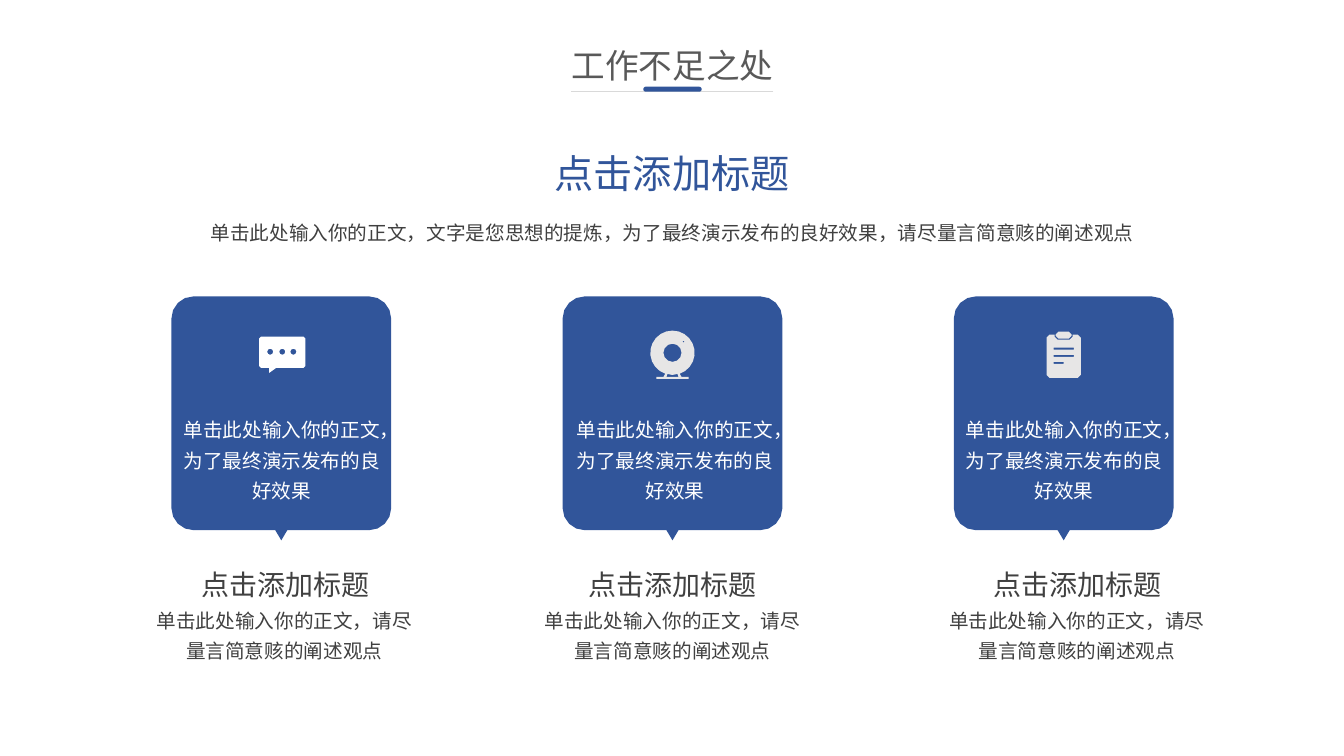
from dataclasses import dataclass
from math import cos, radians, sin

from pptx import Presentation
from pptx.dml.color import RGBColor
from pptx.enum.shapes import MSO_CONNECTOR, MSO_SHAPE
from pptx.enum.text import MSO_ANCHOR as ANCHOR, MSO_AUTO_SIZE as AUTO, PP_ALIGN as ALIGN
from pptx.oxml.ns import qn
from pptx.util import Inches, Pt
from lxml.etree import SubElement

BLUE = RGBColor(0x31, 0x55, 0x9A)
WHITE = RGBColor(0xFF, 0xFF, 0xFF)
PALE = RGBColor(0xE7, 0xE6, 0xE6)
RULE = RGBColor(0xD9, 0xD9, 0xD9)
TITLE = RGBColor(0x59, 0x59, 0x59)
BODY = RGBColor(0x40, 0x40, 0x40)
FONT = "Noto Sans CJK SC"

Points = list[tuple[float, float]]
Box = tuple[float, float, float, float]

HEADING = "点击添加标题"
INTRO = "单击此处输入你的正文，文字是您思想的提炼，为了最终演示发布的良好效果，请尽量言简意赅的阐述观点"
CARD_TEXT = "单击此处输入你的正文，为了最终演示发布的良好效果"
CAPTION = "单击此处输入你的正文，请尽量言简意赅的阐述观点"


@dataclass(frozen=True)
class TextStyle:
    size: float
    color: RGBColor
    spacing: float = 1.0
    anchor: ANCHOR = ANCHOR.TOP
    inset: tuple[float, float] = (0.1, 0.05)
    wrap: bool = True


@dataclass(frozen=True)
class Card:
    text_left: float
    heading_left: float
    caption_left: float
    icon: list[Points]
    icon_color: RGBColor


def arc(cx: float, cy: float, r: float, start: int, end: int, steps: int) -> Points:
    angles = [radians(start + (end - start) * i / steps) for i in range(steps + 1)]
    return [(cx + r * cos(a), cy + r * sin(a)) for a in angles]


def circle(cx: float, cy: float, r: float, steps: int) -> Points:
    return arc(cx, cy, r, 0, 360, steps)[:-1]


def rounded(box: Box, r: float, steps: int = 1,
            top: Points = [], bottom: Points = []) -> Points:
    left, upper, right, lower = box
    return [
        *arc(left + r, upper + r, r, 180, 270, steps), *top,
        *arc(right - r, upper + r, r, 270, 360, steps),
        *arc(right - r, lower - r, r, 0, 90, steps), *bottom,
        *arc(left + r, lower - r, r, 90, 180, steps),
    ]


def bar(left: float, top: float, width: float, height: float) -> Points:
    right, lower = left + width, top + height
    return [(left, top), (right, top), (right, lower), (left, lower)]


def draw_outline(shapes, contours: list[Points], center: float, color: RGBColor) -> None:
    builder = None
    for contour in contours:
        pts = [(Inches(center + x), Inches(y)) for x, y in contour]
        if builder is None:
            builder = shapes.build_freeform(*pts[0], scale=1.0)
        else:
            builder.move_to(*pts[0])
        builder.add_line_segments(pts[1:], close=True)
    fill_shape(builder.convert_to_shape(), color)


def fill_shape(sp, color: RGBColor) -> None:
    sp.shadow.inherit = False
    sp.fill.solid()
    sp.fill.fore_color.rgb = color
    sp.line.fill.background()


def write_text(sp, box: Box, text: str, style: TextStyle) -> None:
    for name, value in zip(("left", "top", "width", "height"), box):
        setattr(sp, name, Inches(value))
    tf = sp.text_frame
    side, end = map(Inches, style.inset)
    frame_format = {
        "word_wrap": style.wrap, "auto_size": AUTO.SHAPE_TO_FIT_TEXT,
        "vertical_anchor": style.anchor, "margin_left": side,
        "margin_right": side, "margin_top": end, "margin_bottom": end,
    }
    for name, value in frame_format.items():
        setattr(tf, name, value)
    p = tf.paragraphs[0]
    p.alignment, p.line_spacing = ALIGN.CENTER, style.spacing
    r = p.add_run()
    r.text = text
    for name, value in {"name": FONT, "size": Pt(style.size)}.items():
        setattr(r.font, name, value)
    r.font.color.rgb = style.color
    SubElement(r.font._element, qn("a:ea"), typeface=FONT)


def add_text(shapes, box: Box, text: str, style: TextStyle) -> None:
    write_text(shapes.add_textbox(*map(Inches, box)), box, text, style)


CARD_OUTLINE = rounded((-1.09, 2.94, 1.09, 5.26), 0.22, 4,
                       bottom=[(0.06, 5.26), (0, 5.36), (-0.06, 5.26)])

CHAT = [
    rounded((-0.22, 3.34, 0.24, 3.65), 0.02,
            bottom=[(-0.05, 3.65), (-0.12, 3.7), (-0.12, 3.65)]),
    *(circle(x, 3.49, 0.03, 8) for x in (-0.11, 0.01, 0.12)),
]
WEBCAM = [
    [*arc(0, 3.5, 0.22, 109, 431, 20), (0.09, 3.74), (0.16, 3.74), (0.16, 3.76),
     (-0.16, 3.76), (-0.16, 3.74), (-0.09, 3.74)],
    [(-0.05, 3.71), (-0.06, 3.74), (0.06, 3.74), (0.05, 3.71), (0, 3.72)],
    circle(0, 3.5, 0.09, 12),
    circle(0.11, 3.39, 0.01, 4),
]
CLIPBOARD = [
    rounded((-0.17, 3.32, 0.17, 3.75), 0.03,
            top=[(-0.09, 3.32), (-0.09, 3.34), (-0.06, 3.37),
                 (0.06, 3.37), (0.09, 3.34), (0.09, 3.32)]),
    *(bar(-0.1, 3.45 + 0.07 * i, width, 0.02) for i, width in enumerate((0.2, 0.2, 0.1))),
    rounded((-0.08, 3.29, 0.08, 3.36), 0.03),
]

CARDS = [
    Card(1.71, 1.59, 1.41, CHAT, WHITE),
    Card(5.61, 5.43, 5.26, WEBCAM, PALE),
    Card(9.47, 9.45, 9.27, CLIPBOARD, PALE),
]
FIRST_CENTER, PITCH = 2.79, 3.88

TITLE_STYLE = TextStyle(24, TITLE, wrap=False)
LEAD_STYLE = TextStyle(28, BLUE)
INTRO_STYLE = TextStyle(14, BODY, 1.5)
CARD_STYLE = TextStyle(14, WHITE, 1.3)
HEADING_STYLE = TextStyle(20, BODY, anchor=ANCHOR.BOTTOM, inset=(0.12, 0.12))
CAPTION_STYLE = TextStyle(14, BODY, 1.3, inset=(0.12, 0.12))


def draw_card(shapes, card: Card, center: float) -> None:
    draw_outline(shapes, [CARD_OUTLINE], center, BLUE)
    draw_outline(shapes, card.icon, center, card.icon_color)
    add_text(shapes, (card.text_left, 4.03, 2.17, 0.99), CARD_TEXT, CARD_STYLE)
    add_text(shapes, (card.heading_left, 5.51, 2.48, 0.57), HEADING, HEADING_STYLE)
    add_text(shapes, (card.caption_left, 5.85, 2.82, 0.83), CAPTION, CAPTION_STYLE)


def draw_title_rule(shapes) -> None:
    line = shapes.add_connector(MSO_CONNECTOR.STRAIGHT, Inches(7.67), Inches(0.91),
                                Inches(5.66), Inches(0.91))
    line.line.color.rgb = RULE
    line.line.width = Pt(0.5)
    SubElement(line._element.spPr, qn("a:effectLst"))
    accent = shapes.add_shape(MSO_SHAPE.ROUNDED_RECTANGLE, Inches(6.38), Inches(0.86),
                              Inches(0.58), Inches(0.05))
    accent.adjustments[0] = 0.5
    fill_shape(accent, BLUE)


def main() -> None:
    prs = Presentation()
    prs.slide_width, prs.slide_height = Inches(13.33), Inches(7.5)
    shapes = prs.slides.add_slide(prs.slide_layouts[5]).shapes
    write_text(shapes.title, (5.56, 0.4, 2.22, 0.5), "工作不足之处", TITLE_STYLE)
    add_text(shapes, (1.6, 2.03, 10.14, 0.42), INTRO, INTRO_STYLE)
    add_text(shapes, (4.06, 1.43, 5.21, 0.57), HEADING, LEAD_STYLE)
    for i, card in enumerate(CARDS):
        draw_card(shapes, card, FIRST_CENTER + PITCH * i)
    draw_title_rule(shapes)
    prs.save("out.pptx")


if __name__ == "__main__":
    main()
